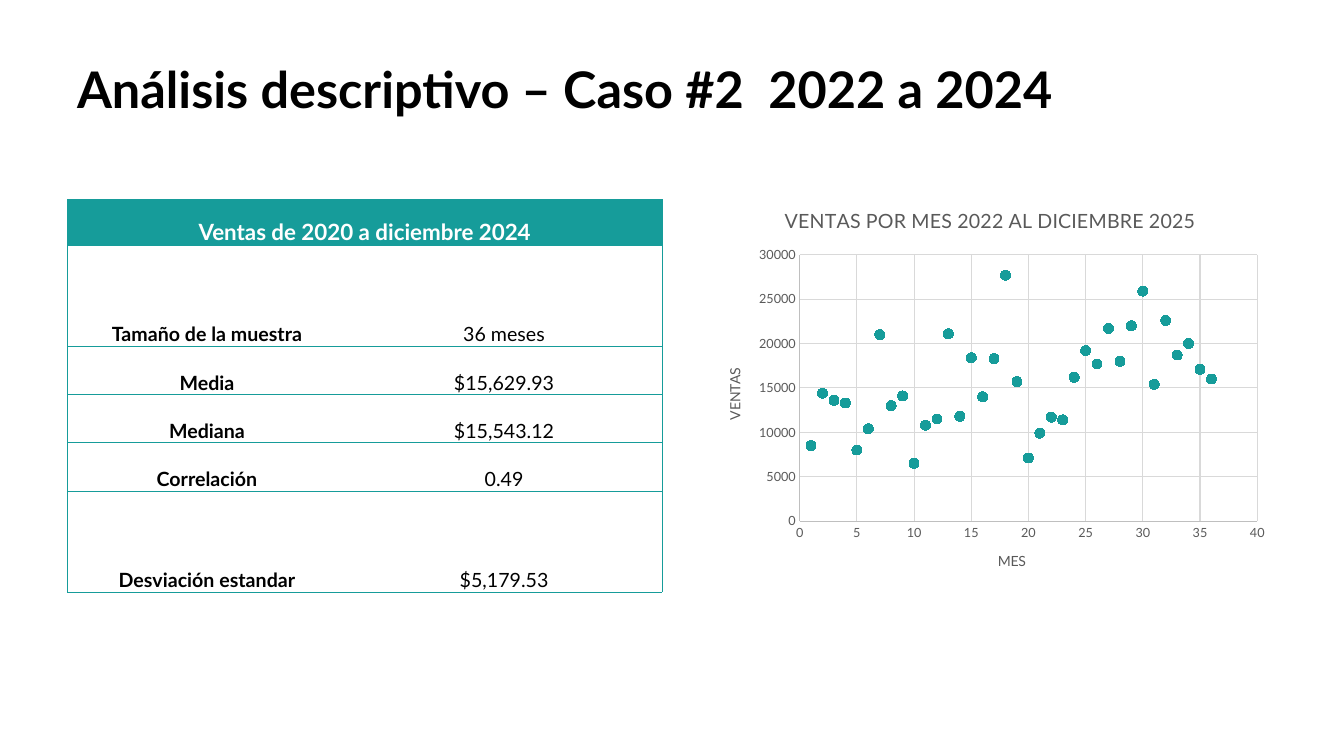
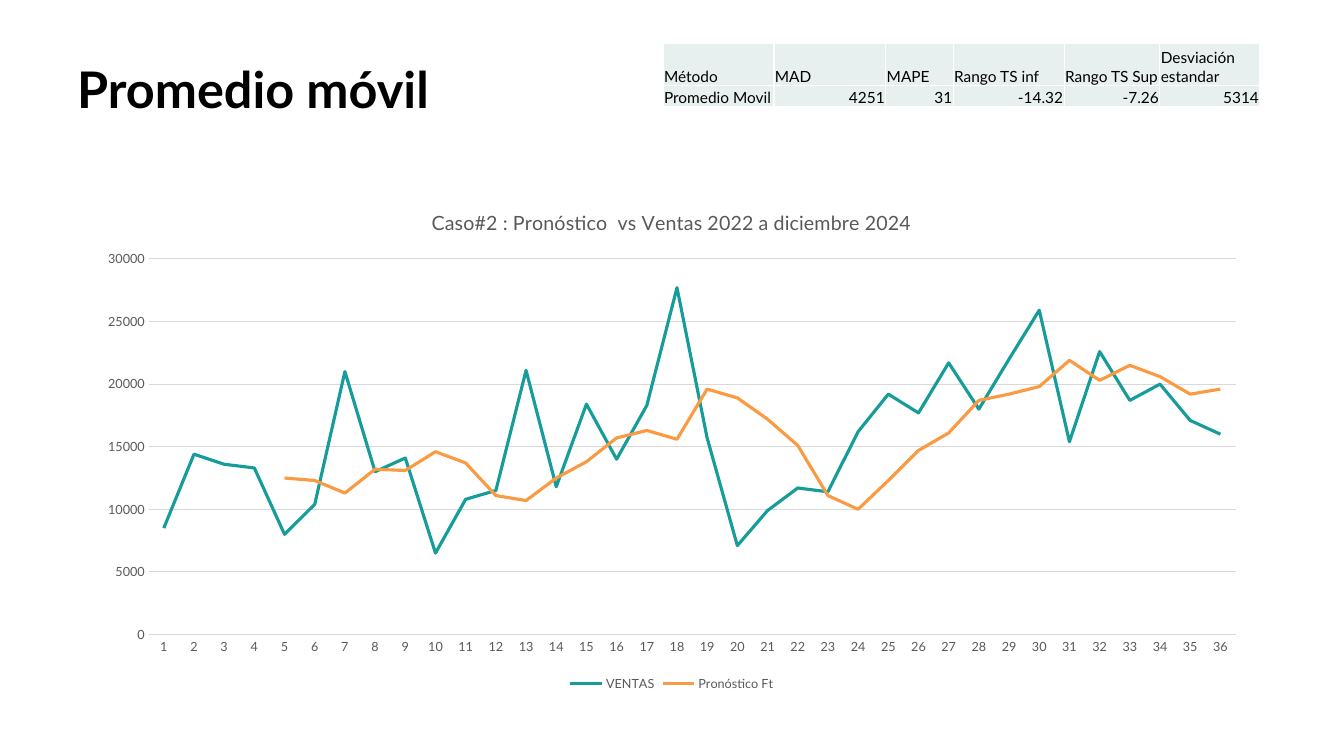
from dataclasses import dataclass

from lxml import etree
from pptx import Presentation
from pptx.chart import data as chart_data
from pptx.dml.color import RGBColor
from pptx.enum import chart as chart_enum, text
from pptx.oxml import ns
from pptx.util import Pt


@dataclass(frozen=True)
class Theme:
    font: str = "Lato"
    black: str = "000000"
    white: str = "FFFFFF"
    teal: str = "169C9A"
    orange: str = "FA9A42"
    pale: str = "E8EFEF"
    grey: str = "595959"
    axis: str = "BFBFBF"
    grid: str = "D9D9D9"
    title_size: float = 36
    heading_size: float = 16
    body_size: float = 14
    small_size: float = 11
    axis_title_size: float = 10
    tick_size: float = 9


THEME = Theme()
LEFT, CENTER, RIGHT = text.PP_ALIGN.LEFT, text.PP_ALIGN.CENTER, text.PP_ALIGN.RIGHT

SALES = [
    8500, 14400, 13600, 13300, 8000, 10400, 21000, 13000, 14100, 6500, 10800, 11500,
    21100, 11800, 18400, 14000, 18300, 27700, 15700, 7100, 9900, 11700, 11400, 16200,
    19200, 17700, 21700, 18000, 22000, 25900, 15400, 22600, 18700, 20000, 17100, 16000,
]
FORECAST = [None] * 4 + [
    12500, 12300, 11300, 13200, 13100, 14600, 13700, 11100,
    10700, 12500, 13800, 15700, 16300, 15600, 19600, 18900, 17200, 15100, 11100, 10000,
    12300, 14700, 16100, 18700, 19200, 19800, 21900, 20300, 21500, 20600, 19200, 19600,
]
MONTHS = range(1, len(SALES) + 1)

DESCRIPTIVE = {
    "title": "Análisis descriptivo – Caso #2  2022 a 2024",
    "heading": "Ventas de 2020 a diciembre 2024",
    "rows": [
        ("Tamaño de la muestra", "36 meses"),
        ("Media", "$15,629.93"),
        ("Mediana", "$15,543.12"),
        ("Correlación", "0.49"),
        ("Desviación estandar", "$5,179.53"),
    ],
    "chart": "VENTAS POR MES 2022 AL DICIEMBRE 2025",
}
MOVING_AVERAGE = {
    "title": "Promedio móvil",
    "rows": [
        ("Método", "MAD", "MAPE", "Rango TS inf", "Rango TS Sup", "Desviación estandar"),
        ("Promedio Movil", "4251", "31", "-14.32", "-7.26", "5314"),
    ],
    "chart": "Caso#2 : Pronóstico  vs Ventas 2022 a diciembre 2024",
    "series": [("VENTAS", SALES, THEME.teal), ("Pronóstico Ft", FORECAST, THEME.orange)],
}


def style_font(font, size, color, bold=False):
    font.name = THEME.font
    font.size = Pt(size)
    font.bold = bold
    font.color.rgb = RGBColor.from_string(color)


def add_run(paragraph, words, size, color, bold=False):
    run = paragraph.add_run()
    run.text = words
    style_font(run.font, size, color, bold)


def set_line(line, color, width):
    line.color.rgb = RGBColor.from_string(color)
    line.width = Pt(width)


def add_titled_slide(presentation, title):
    slide = presentation.slides.add_slide(presentation.slide_layouts[6])
    frame = slide.shapes.add_textbox(Pt(48), Pt(43), Pt(839), Pt(89)).text_frame
    frame.word_wrap = True
    paragraph = frame.paragraphs[0]
    paragraph.line_spacing = 0.9
    add_run(paragraph, title, THEME.title_size, THEME.black, True)
    return slide


def add_grid(slide, left, top, widths, heights):
    """Add an empty table whose size follows its columns and rows."""
    table = slide.shapes.add_table(
        len(heights), len(widths), Pt(left), Pt(top), Pt(sum(widths)), Pt(sum(heights))
    ).table
    table.first_row = table.horz_banding = False
    for column, width in zip(table.columns, widths):
        column.width = Pt(width)
    for row, height in zip(table.rows, heights):
        row.height = Pt(height)
    return table


def set_borders(cell, sides, color, width):
    """Draw the named sides (L, R, T, B) and leave the others without a line."""
    properties = cell._tc.get_or_add_tcPr()
    for index, side in enumerate("LRTB"):
        border = etree.Element(ns.qn(f"a:ln{side}"), w=str(Pt(width)))
        if side in sides:
            fill = etree.SubElement(border, ns.qn("a:solidFill"))
            etree.SubElement(fill, ns.qn("a:srgbClr"), val=color)
        else:
            etree.SubElement(border, ns.qn("a:noFill"))
        properties.insert(index, border)


def fill_cell(cell, words, size, color, align, fill=None, bold=False, margins=(0, 0, 0),
              line_spacing=None, space_after=None):
    """Write bottom-anchored text; margins are side, top and bottom."""
    side, top, bottom = margins
    cell.margin_left = cell.margin_right = Pt(side)
    cell.margin_top, cell.margin_bottom = Pt(top), Pt(bottom)
    cell.vertical_anchor = text.MSO_ANCHOR.BOTTOM
    if fill:
        cell.fill.solid()
        cell.fill.fore_color.rgb = RGBColor.from_string(fill)
    else:
        cell.fill.background()
    paragraph = cell.text_frame.paragraphs[0]
    paragraph.alignment = align
    if line_spacing:
        paragraph.line_spacing = line_spacing
    if space_after:
        paragraph.space_after = Pt(space_after)
    add_run(paragraph, words, size, color, bold)


def add_summary_table(slide, heading, rows):
    tall, low = 72, 34.6
    table = add_grid(slide, 48.4, 142.6, (199, 225.4),
                     (32.4, tall, *[low] * (len(rows) - 2), tall))
    layout = {"align": CENTER, "margins": (5, 0, 0), "space_after": 8}
    header = table.cell(0, 0)
    header.merge(table.cell(0, 1))
    fill_cell(header, heading, THEME.heading_size, THEME.white, fill=THEME.teal,
              bold=True, line_spacing=1.15, **layout)
    for cell in (header, table.cell(0, 1)):
        set_borders(cell, "LRTB", THEME.teal, 0.5)
    for row, (label, value) in enumerate(rows, 1):
        columns = ((label, True, 1.5, "LTB"), (value, False, 1.15, "RTB"))
        for column, (words, bold, spacing, sides) in enumerate(columns):
            cell = table.cell(row, column)
            fill_cell(cell, words, THEME.body_size, THEME.black, bold=bold,
                      line_spacing=spacing, **layout)
            set_borders(cell, sides, THEME.teal, 0.5)


def add_error_table(slide, rows):
    table = add_grid(slide, 473.6, 30.8, (79.2, 79.9, 48.2, 79.2, 68.4, 71.5), (30.2, 15.1))
    for row, values in enumerate(rows):
        for column, words in enumerate(values):
            cell = table.cell(row, column)
            fill_cell(cell, words, THEME.small_size, THEME.black,
                      RIGHT if row and column else LEFT, THEME.pale, margins=(0.7, 0.7, 0))
            set_borders(cell, "LRTB", THEME.white, 1)


def add_titled_chart(slide, kind, box, data, title):
    chart = slide.shapes.add_chart(kind, *map(Pt, box), data).chart
    style_font(chart.font, THEME.axis_title_size, THEME.black)
    chart.has_title = True
    add_run(chart.chart_title.text_frame.paragraphs[0], title, THEME.body_size, THEME.grey)
    chart.chart_title.include_in_layout = False
    chart.has_legend = False
    chart.plots[0].vary_by_categories = False
    chart.value_axis.minimum_scale = 0
    chart.value_axis.maximum_scale = 30000
    chart.value_axis.major_unit = 5000
    return chart


def style_axis(axis, line_color=None, grid=True, title=None):
    axis.major_tick_mark = axis.minor_tick_mark = chart_enum.XL_TICK_MARK.NONE
    style_font(axis.tick_labels.font, THEME.tick_size, THEME.grey)
    if line_color:
        set_line(axis.format.line, line_color, 0.75)
    else:
        axis.format.line.fill.background()
    axis.has_major_gridlines = grid
    if grid:
        set_line(axis.major_gridlines.format.line, THEME.grid, 0.75)
    if title:
        paragraph = axis.axis_title.text_frame.paragraphs[0]
        add_run(paragraph, title, THEME.axis_title_size, THEME.grey)


def add_sales_scatter(slide, title):
    data = chart_data.XyChartData(number_format="General")
    points = data.add_series("Series 1")
    for month, sales in zip(MONTHS, SALES):
        points.add_data_point(month, sales)
    chart = add_titled_chart(slide, chart_enum.XL_CHART_TYPE.XY_SCATTER,
                             (503.3, 135.4, 408.2, 286.6), data, title)
    month_axis = chart.category_axis
    month_axis.minimum_scale, month_axis.maximum_scale = 0, 40
    month_axis.major_unit = 5
    style_axis(month_axis, THEME.axis, title="MES")
    style_axis(chart.value_axis, THEME.axis, title="VENTAS")
    series = chart.plots[0].series[0]
    series.format.line.fill.background()
    series.marker.style = chart_enum.XL_MARKER_STYLE.CIRCLE
    series.marker.size = 7
    series.marker.format.fill.solid()
    series.marker.format.fill.fore_color.rgb = RGBColor.from_string(THEME.teal)
    set_line(series.marker.format.line, THEME.teal, 0.75)


def add_forecast_lines(slide, title, series_list):
    data = chart_data.CategoryChartData(number_format="General")
    data.categories = [str(month) for month in MONTHS]
    for name, values, _ in series_list:
        data.add_series(name, values)
    chart = add_titled_chart(slide, chart_enum.XL_CHART_TYPE.LINE,
                             (60.5, 135.4, 838.8, 361.4), data, title)
    style_axis(chart.category_axis, THEME.grid, grid=False)
    style_axis(chart.value_axis)
    chart.has_legend = True
    chart.legend.position = chart_enum.XL_LEGEND_POSITION.BOTTOM
    chart.legend.include_in_layout = False
    style_font(chart.legend.font, THEME.tick_size, THEME.grey)
    for series, (_, _, color) in zip(chart.plots[0].series, series_list):
        series.smooth = False
        series.marker.style = chart_enum.XL_MARKER_STYLE.NONE
        set_line(series.format.line, color, 2.25)


def main():
    presentation = Presentation()
    presentation.slide_width, presentation.slide_height = Pt(960), Pt(540)

    slide = add_titled_slide(presentation, DESCRIPTIVE["title"])
    add_summary_table(slide, DESCRIPTIVE["heading"], DESCRIPTIVE["rows"])
    add_sales_scatter(slide, DESCRIPTIVE["chart"])

    slide = add_titled_slide(presentation, MOVING_AVERAGE["title"])
    add_forecast_lines(slide, MOVING_AVERAGE["chart"], MOVING_AVERAGE["series"])
    add_error_table(slide, MOVING_AVERAGE["rows"])

    presentation.save("out.pptx")


if __name__ == "__main__":
    main()
